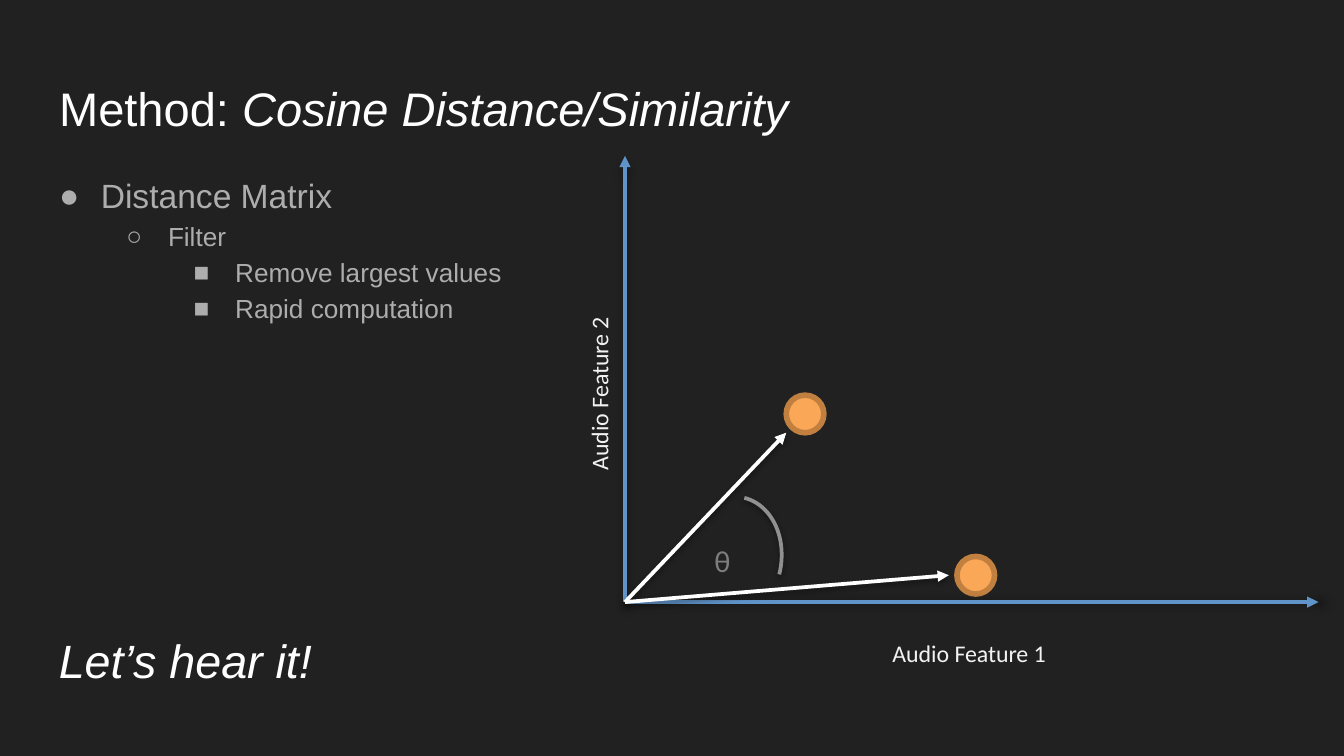
"""Build the cosine distance slide with its two-feature vector diagram."""
from dataclasses import dataclass
from typing import Any

from lxml import etree
from pptx import Presentation
from pptx.dml.color import RGBColor
from pptx.enum import shapes as shp, text as txt
from pptx.oxml import ns
from pptx.util import Inches, Pt

COLORS = {
    "background": "212121", "white": "FFFFFF", "body": "ADADAD",
    "label": "F2F2F2", "theta": "7F7E7E", "axis": "6094C9",
    "arc": "909090", "point": "FAA757", "ring": "C1803F",
}
ORIGIN = (4.65, 4.48)
POINT_SIZE = 0.28


@dataclass(frozen=True)
class Shadow:
    alpha: int
    blur: float
    distance: float
    angle: int


@dataclass(frozen=True)
class Arrow:
    tip: tuple[float, float]
    color: str
    shadow: Shadow


@dataclass(frozen=True)
class Label:
    text: str
    box: tuple[float, float, float, float]
    size: int
    color: str
    rotation: int = 0


@dataclass(frozen=True)
class Bullet:
    text: str
    level: int
    mark: str
    size: int


SOFT = Shadow(38, 3.1, 1.6, 90)
ARROWS = [
    Arrow((4.65, 1.16), "axis", Shadow(40, 5, 4, 90)),
    Arrow((9.81, 4.48), "axis", Shadow(40, 5, 4, 0)),
    Arrow((5.85, 3.22), "white", SOFT),
    Arrow((7.06, 4.28), "white", SOFT),
]
POINTS = [(7.26, 4.28), (5.99, 3.08)]
LABELS = [
    Label("Audio Feature 2", (3.5, 2.7, 1.64, 0.46), 22, "label", 270),
    Label("Audio Feature 1", (6.39, 4.49, 1.64, 0.46), 22, "label"),
    Label("θ", (4.93, 3.85, 0.89, 0.47), 28, "theta"),
]
BULLETS = [
    Bullet("Distance Matrix", 0, "●", 18),
    Bullet("Filter", 1, "○", 14),
    Bullet("Remove largest values", 2, "■", 14),
    Bullet("Rapid computation", 2, "■", 14),
]


def rgb(name: str) -> RGBColor:
    """Return the named colour."""
    return RGBColor.from_string(COLORS[name])


def add_xml(parent: Any, tag: str, **attributes: str) -> Any:
    """Append a drawing element with its attributes."""
    return etree.SubElement(parent, ns.qn(f"a:{tag}"), attributes)


def write(paragraph: Any, content: str, *, size: float, color: str, font: str = "Arial",
          italic: bool = False, raised: bool = False) -> None:
    """Add a formatted run to a paragraph."""
    run = paragraph.add_run()
    run.text = content
    run.font.size, run.font.name, run.font.italic = Pt(size), font, italic
    run.font.color.rgb = rgb(color)
    if raised:
        run.font._element.set("baseline", "10000")


def set_frame(shape: Any, margin: float) -> Any:
    """Give a text shape even margins and top anchoring."""
    frame = shape.text_frame
    frame.margin_left = frame.margin_right = Inches(margin)
    frame.margin_top = frame.margin_bottom = Inches(margin)
    frame.word_wrap = True
    frame.auto_size = txt.MSO_AUTO_SIZE.NONE
    frame.vertical_anchor = txt.MSO_ANCHOR.TOP
    return frame


def move(shape: Any, *box: float) -> None:
    """Place a shape by left, top, width and height in inches."""
    shape.left, shape.top, shape.width, shape.height = map(Inches, box)


def set_line(shape: Any, color: str, width: float) -> None:
    """Set the outline of a shape or connector."""
    shape.line.color.rgb = rgb(color)
    shape.line.width = Pt(width)


def cast_shadow(shape: Any, shadow: Shadow) -> None:
    """Add an outer shadow after the outline is set."""
    effects = add_xml(shape._element.spPr, "effectLst")
    outer = add_xml(effects, "outerShdw", blurRad=str(Pt(shadow.blur)), dist=str(Pt(shadow.distance)),
                    dir=str(shadow.angle * 60000), rotWithShape="0")
    black = add_xml(outer, "srgbClr", val="000000")
    add_xml(black, "alpha", val=str(shadow.alpha * 1000))


def draw_point(slide: Any, center: tuple[float, float]) -> None:
    """Draw a data point around its centre."""
    left, top = (Inches(value - POINT_SIZE / 2) for value in center)
    point = slide.shapes.add_shape(shp.MSO_SHAPE.OVAL, left, top, Inches(POINT_SIZE), Inches(POINT_SIZE))
    point.shadow.inherit = False
    point.fill.solid()
    point.fill.fore_color.rgb = rgb("point")
    set_line(point, "ring", 3)


def draw_arrow(slide: Any, arrow: Arrow) -> None:
    """Draw an arrow from the origin."""
    connector = slide.shapes.add_connector(shp.MSO_CONNECTOR.STRAIGHT, *map(Inches, ORIGIN + arrow.tip))
    set_line(connector, arrow.color, 2)
    add_xml(connector.line._get_or_add_ln(), "tailEnd", type="triangle")
    cast_shadow(connector, arrow.shadow)


def draw_arc(slide: Any) -> None:
    """Draw the angle mark between the vectors."""
    arc = slide.shapes.add_shape(shp.MSO_SHAPE.ARC, *map(Inches, (5.03, 3.69, 0.78, 0.98)))
    arc.rotation = 14
    arc.fill.background()
    set_line(arc, "arc", 2)
    cast_shadow(arc, SOFT)


def draw_label(slide: Any, label: Label) -> None:
    """Draw a centred diagram label."""
    box = slide.shapes.add_textbox(*map(Inches, label.box))
    box.rotation = label.rotation
    frame = set_frame(box, 0)
    frame.auto_size = txt.MSO_AUTO_SIZE.SHAPE_TO_FIT_TEXT
    paragraph = frame.paragraphs[0]
    paragraph.alignment = txt.PP_ALIGN.CENTER
    paragraph.line_spacing = Pt(38)
    write(paragraph, label.text, size=label.size, color=label.color, font="Calibri", raised=True)


def fill_bullet(paragraph: Any, bullet: Bullet) -> None:
    """Format and write one list entry."""
    paragraph.level = bullet.level
    paragraph.alignment = txt.PP_ALIGN.LEFT
    paragraph.line_spacing = 1.15
    paragraph.space_before = Pt(0)
    properties = paragraph._p.get_or_add_pPr()
    properties.set("marL", str(Inches(0.31 + 0.5 * bullet.level)))
    properties.set("indent", str(Inches(-0.31)))
    add_xml(add_xml(properties, "buClr"), "srgbClr", val=COLORS["body"])
    add_xml(properties, "buFont", typeface="Arial")
    add_xml(properties, "buChar", char=bullet.mark)
    write(paragraph, bullet.text, size=bullet.size, color="body")


def main() -> None:
    """Assemble and save the slide."""
    deck = Presentation()
    deck.slide_width = Inches(10)
    deck.slide_height = deck.slide_width * 9 // 16
    slide = deck.slides.add_slide(deck.slide_layouts[1])
    slide.background.fill.solid()
    slide.background.fill.fore_color.rgb = rgb("background")

    title, body = slide.placeholders
    move(title, 0.34, 0.49, 9.32, 0.63)
    heading = set_frame(title, 0.1).paragraphs[0]
    heading.alignment = txt.PP_ALIGN.LEFT
    write(heading, "Method: ", size=25.2, color="white")
    write(heading, "Cosine Distance/Similarity", size=25.2, color="white", italic=True)

    for center in POINTS:
        draw_point(slide, center)
    for arrow in ARROWS:
        draw_arrow(slide, arrow)
    draw_arc(slide)
    for label in LABELS:
        draw_label(slide, label)

    move(body, 0.34, 1.16, 4.2, 1.92)
    frame = set_frame(body, 0.1)
    for index, bullet in enumerate(BULLETS):
        fill_bullet(frame.add_paragraph() if index else frame.paragraphs[0], bullet)

    closing = slide.shapes.add_textbox(*map(Inches, (0.34, 4.6, 2.6, 0.63)))
    write(set_frame(closing, 0.1).paragraphs[0], "Let’s hear it!", size=25, color="white", italic=True)
    deck.save("out.pptx")


if __name__ == "__main__":
    main()
